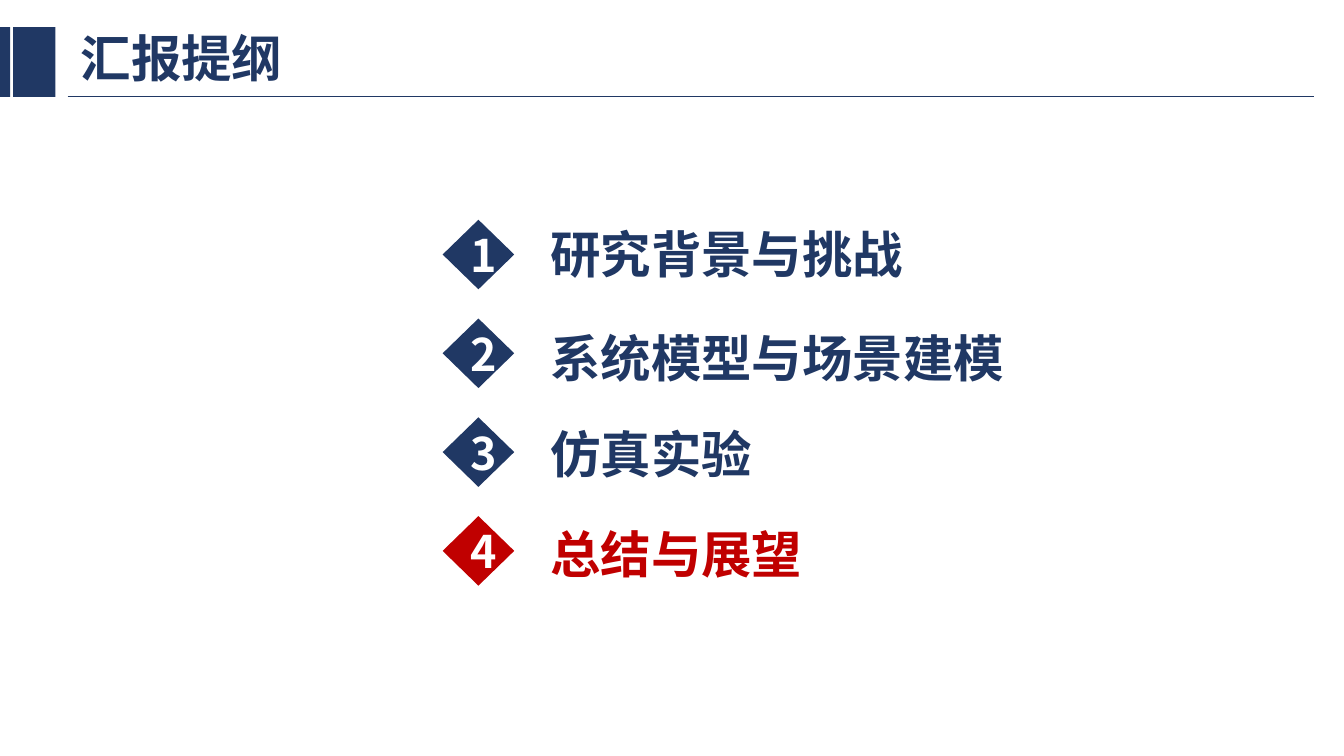
from dataclasses import dataclass

from lxml import etree
from pptx import Presentation
from pptx.dml.color import RGBColor
from pptx.enum.shapes import MSO_CONNECTOR, MSO_SHAPE
from pptx.enum.text import MSO_ANCHOR, MSO_AUTO_SIZE, PP_ALIGN
from pptx.oxml.ns import qn
from pptx.util import Inches, Pt

RECT, DIAMOND = MSO_SHAPE.RECTANGLE, MSO_SHAPE.DIAMOND
STRAIGHT = MSO_CONNECTOR.STRAIGHT
MIDDLE, TOP = MSO_ANCHOR.MIDDLE, MSO_ANCHOR.TOP
LEFT, CENTER = PP_ALIGN.LEFT, PP_ALIGN.CENTER
FIXED, GROW = MSO_AUTO_SIZE.NONE, MSO_AUTO_SIZE.SHAPE_TO_FIT_TEXT


@dataclass(frozen=True)
class Theme:
    """Colours, font and type sizes of the slide."""
    navy: RGBColor = RGBColor.from_string("203864")
    red: RGBColor = RGBColor.from_string("C00000")
    white: RGBColor = RGBColor.from_string("FFFFFF")
    font: str = "Noto Sans CJK SC"
    head: int = 36
    digit: int = 32


THEME = Theme()
TOPICS = [
    ("研究背景与挑战", 5.1, -0.02, THEME.navy),
    ("系统模型与场景建模", 5.41, 0.04, THEME.navy),
    ("仿真实验", 5.1, 0.01, THEME.navy),
    ("总结与展望", 5.1, 0.02, THEME.red),
]


def write(shape, text, size, color, align, anchor):
    """Put one bold line of text into a shape."""
    frame = shape.text_frame
    frame.text = text
    frame.word_wrap = True
    frame.vertical_anchor = anchor
    line = frame.paragraphs[0]
    line.alignment = align
    font = line.runs[0].font
    font.size, font.bold, font.name = Pt(size), True, THEME.font
    font.color.rgb = color
    east = etree.SubElement(line.runs[0]._r.get_or_add_rPr(), qn("a:ea"))
    east.set("typeface", THEME.font)
    return frame


def block(slide, kind, box, color):
    """Add a flat filled shape without outline."""
    shape = slide.shapes.add_shape(kind, *map(Inches, box))
    shape.shadow.inherit = False
    shape.fill.solid()
    shape.fill.fore_color.rgb = color
    shape.line.fill.background()
    return shape


def header(slide, text, box):
    """Draw the side bars, the rule and the title in the header box."""
    x, y, width, height = box
    base = y + height
    rule = slide.shapes.add_connector(
        STRAIGHT, Inches(x + 0.67), Inches(base), Inches(x + width), Inches(base))
    rule.line.color.rgb = THEME.navy
    rule.line.width = Pt(1)
    etree.SubElement(rule._element.spPr, qn("a:effectLst"))
    for left, wide in ((0, 0.1), (0.13, 0.42)):
        block(slide, RECT, (x + left, y, wide, height), THEME.navy)
    title = slide.shapes.title
    title.left, title.top = Inches(x + 0.7), Inches(y - 0.06)
    title.width, title.height = Inches(2.69), Inches(0.8)
    frame = write(title, text, THEME.head, THEME.navy, LEFT, MIDDLE)
    frame.auto_size = FIXED
    frame.paragraphs[0].line_spacing = 0.9


def topic(slide, num, item, x, y):
    """Draw one numbered diamond and its label."""
    text, width, shift, color = item
    mark = block(slide, DIAMOND, (x, y, 0.71, 0.69), color)
    write(mark, str(num), THEME.digit, THEME.white, CENTER, MIDDLE)
    label = slide.shapes.add_textbox(
        Inches(x + 0.97), Inches(y + shift), Inches(width), Inches(0.71))
    frame = write(label, text, THEME.head, color, LEFT, TOP)
    frame.auto_size = GROW


def agenda(slide, items, box):
    """Stack the topics evenly down the agenda box."""
    x, y, height = box
    pitch = height / len(items)
    for i, item in enumerate(items):
        topic(slide, i + 1, item, x, y + i * pitch)


def main():
    """Build and save the outline slide."""
    deck = Presentation()
    deck.slide_width, deck.slide_height = Inches(13.33), Inches(7.5)
    slide = deck.slides.add_slide(deck.slide_layouts[5])
    header(slide, "汇报提纲", (0, 0.27, 13.03, 0.69))
    agenda(slide, TOPICS, (4.39, 2.18, 3.92))
    deck.save("out.pptx")


if __name__ == "__main__":
    main()
